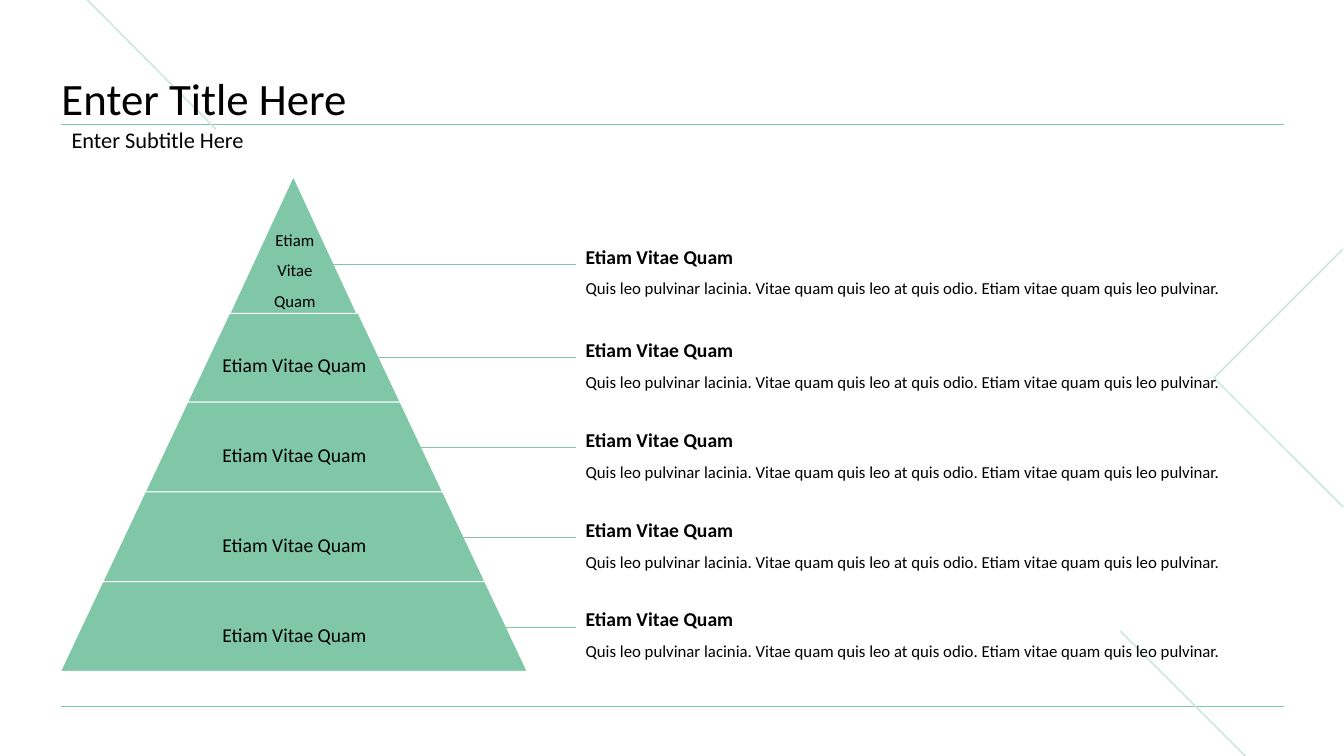
from lxml import etree
from pptx import Presentation
from pptx import util as u
from pptx.dml.color import RGBColor
from pptx.enum import shapes, text
from pptx.oxml.ns import qn

PX = 9144  # 100 px to the inch
FONT = "Calibri"
GREEN, PALE, WHITE, BLACK = "80C7A7", "C6E6D7", "FFFFFF", "000000"
HEADING = "Etiam Vitae Quam"
DETAIL = ("Quis leo pulvinar lacinia. Vitae quam quis leo at quis odio. "
          "Etiam vitae quam quis leo pulvinar.")
LEFT, RIGHT = 61, 1273
TIER_TOP, TIER_H, TIER_INSET = 310, 89, 42
LINE_STARTS = [373, 396, 373, 373]


def px(*lengths):
    return [u.Emu(n * PX) for n in lengths]


def color(value):
    return RGBColor.from_string(value)


def add_line(s, x1, y1, x2, y2, line=GREEN, width=0.5):
    c = s.shapes.add_connector(shapes.MSO_CONNECTOR.STRAIGHT, *px(x1, y1, x2, y2))
    c.line.color.rgb = color(line)
    c.line.width = u.Pt(width)
    etree.SubElement(c.element.spPr, qn("a:effectLst"))


def add_chevron(s, points):
    fb = s.shapes.build_freeform(*points[0], scale=PX)
    fb.add_line_segments(points[1:], close=False)
    sp = fb.convert_to_shape()
    sp.shadow.inherit = False
    sp.fill.background()
    sp.line.color.rgb = color(PALE)
    sp.line.width = u.Pt(1)


def add_tier(s, kind, *box):
    sp = s.shapes.add_shape(kind, *px(*box))
    sp.shadow.inherit = False
    sp.fill.solid()
    sp.fill.fore_color.rgb = color(GREEN)
    sp.line.color.rgb = color(WHITE)
    sp.line.width = u.Pt(0.75)
    return sp


def format_paragraph(p, size, spacing, align=text.PP_ALIGN.LEFT, bold=False):
    p.alignment = align
    p.line_spacing = spacing
    for r in p.runs:
        r.font.name = FONT
        r.font.size = u.Pt(size)
        r.font.bold = bold
        r.font.color.rgb = color(BLACK)


def add_text(s, box, content):
    tf = s.shapes.add_textbox(*px(*box)).text_frame
    tf.word_wrap = True
    tf.auto_size = text.MSO_AUTO_SIZE.SHAPE_TO_FIT_TEXT
    tf.text = content
    return tf.paragraphs


def add_label(s, box, size):
    for p in add_text(s, box, HEADING):
        format_paragraph(p, size, 1.5, text.PP_ALIGN.CENTER)


def add_detail(s, top, line_start):
    """Add a heading with its description, and the line that leads to it."""
    heading, detail = add_text(s, (571, top, 701, 73), f"{HEADING}\n{DETAIL}")
    format_paragraph(heading, 14, 1.5, bold=True)
    format_paragraph(detail, 12, 1.5)
    add_line(s, line_start, top + 36, 571, top + 36)


def fill_placeholder(sp, content, box, size, anchor):
    """Fill a placeholder and bring it in front of the decoration."""
    sp.left, sp.top, sp.width, sp.height = px(*box)
    tf = sp.text_frame
    tf.text = content
    tf.auto_size = text.MSO_AUTO_SIZE.NONE
    tf.vertical_anchor = anchor
    format_paragraph(tf.paragraphs[0], size, 0.9)
    sp.element.getparent().append(sp.element)
    return tf


def add_decoration(s):
    for y in (701, 123):
        add_line(s, LEFT, y, RIGHT, y)
    add_line(s, 1111, 626, 1298, 813, PALE, 1)
    add_line(s, 28, -59, 214, 128, PALE, 1)
    add_chevron(s, [(1332, 247), (1204, 375), (1332, 503)])


def add_headings(s):
    title, body = s.placeholders
    subtitle_tf = fill_placeholder(body, "Enter Subtitle Here", (LEFT, 123, 1212, 34),
                                   16, text.MSO_ANCHOR.MIDDLE)
    p = subtitle_tf.paragraphs[0]
    p.space_before = u.Pt(10)
    pPr = p.runs[0].font and p._p.get_or_add_pPr()
    pPr.set("marL", "0")
    pPr.set("indent", "0")
    etree.SubElement(pPr, qn("a:buNone"))

    title_tf = fill_placeholder(title, "Enter Title Here", (LEFT, 44, 1212, 80),
                                32, text.MSO_ANCHOR.BOTTOM)
    title_tf.margin_left = title_tf.margin_right = 0
    title_tf.margin_top = title_tf.margin_bottom = 0


def add_pyramid(s):
    tops = [TIER_TOP + i * TIER_H for i in range(len(LINE_STARTS))]
    for i, top in enumerate(tops):
        grow = i * TIER_INSET
        tier = add_tier(s, shapes.MSO_SHAPE.TRAPEZOID,
                        186 - grow, top, 211 + 2 * grow, TIER_H)
        tier.adjustments[0] = TIER_INSET / TIER_H
    add_tier(s, shapes.MSO_SHAPE.ISOSCELES_TRIANGLE, 228, 175, 126, 136)

    add_label(s, (246, 213, 93, 98), 12)
    add_detail(s, 226, 319)
    for top, line_start in zip(tops, LINE_STARTS):
        add_label(s, (209, top + 24, 166, 42), 14)
        add_detail(s, top + 9, line_start)


def main():
    prs = Presentation()
    prs.slide_width, prs.slide_height = px(1333, 750)
    s = prs.slides.add_slide(prs.slide_layouts[1])
    add_decoration(s)
    add_headings(s)
    add_pyramid(s)
    prs.save("out.pptx")


if __name__ == "__main__":
    main()
